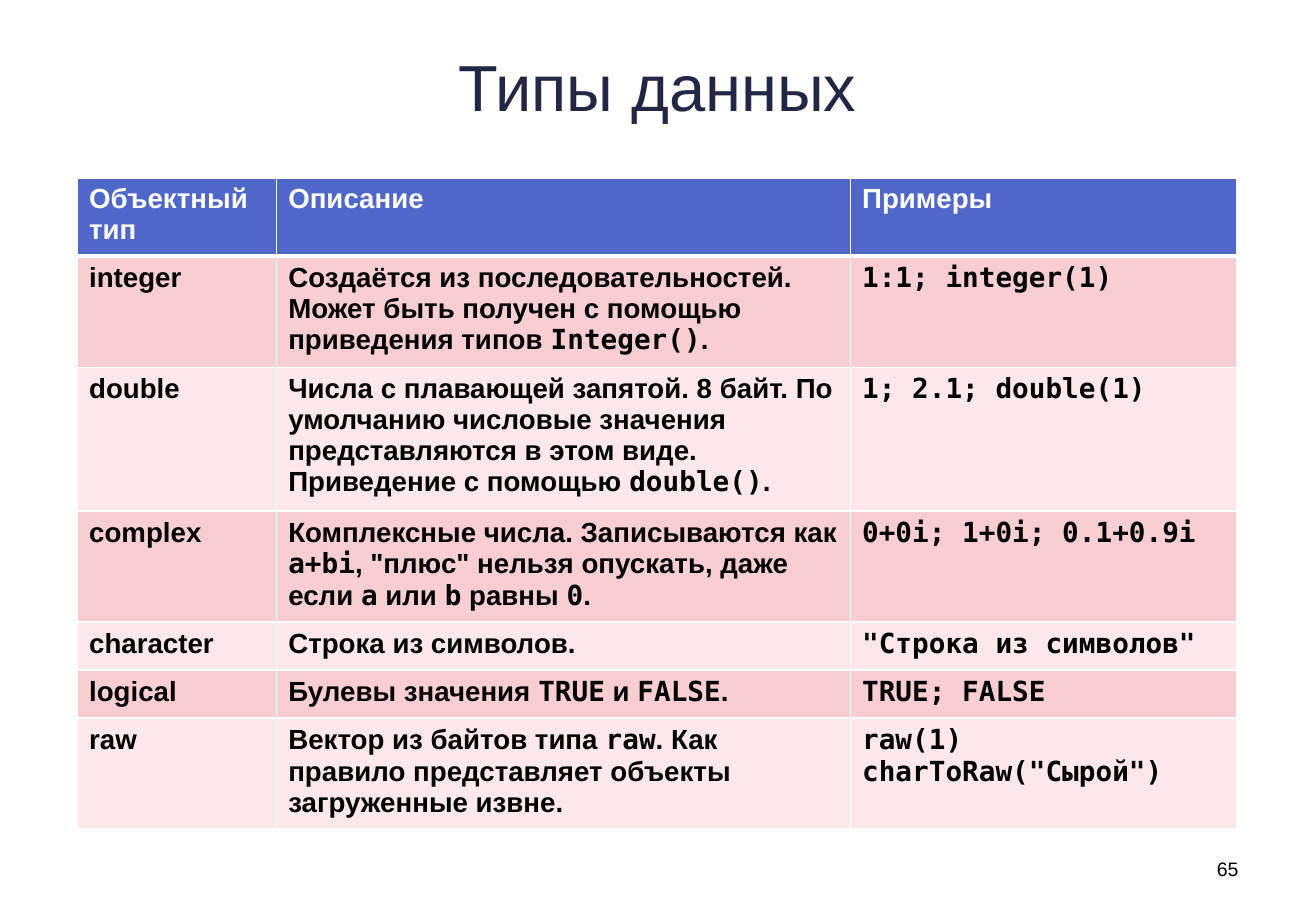
"""Build the slide on R data types: a title, a table and a page number."""
from lxml import etree
from pptx import Presentation
from pptx.dml.color import RGBColor
from pptx.enum.text import MSO_ANCHOR, PP_ALIGN
from pptx.oxml import parse_xml
from pptx.oxml.ns import nsdecls
from pptx.util import Cm, Pt

MIDDLE = MSO_ANCHOR.MIDDLE
CENTER, RIGHT = PP_ALIGN.CENTER, PP_ALIGN.RIGHT

WHITE = RGBColor(0xFF, 0xFF, 0xFF)
BLACK = RGBColor(0x00, 0x00, 0x00)
NAVY = RGBColor(0x21, 0x27, 0x45)
BLUE = RGBColor(0x4E, 0x67, 0xC8)
PINK = RGBColor(0xF9, 0xCE, 0xD2)
PALE_PINK = RGBColor(0xFC, 0xE8, 0xEA)

SANS = "Arial"
MONO = "DejaVu Sans Mono"

COL_WIDTHS = [4.32, 12.45, 8.38]
ROW_HEIGHTS = [1.7, 2.41, 3.12, 2.41, 1.04, 1.04, 2.41]
# Backticks enclose code.
ROWS = [
    ("Объектный тип", "Описание", "Примеры"),
    ("integer",
     "Создаётся из последовательностей. Может быть получен с помощью "
     "приведения типов `Integer()`.",
     "`1:1; integer(1)`"),
    ("double",
     "Числа с плавающей запятой. 8 байт. По умолчанию числовые значения "
     "представляются в этом виде. Приведение с помощью `double()`.",
     "`1; 2.1; double(1)`"),
    ("complex",
     "Комплексные числа. Записываются как `a+bi`, \"плюс\" нельзя опускать, "
     "даже если `a` или `b` равны `0`.",
     "`0+0i; 1+0i; 0.1+0.9i`"),
    ("character", "Строка из символов.", "`\"Строка из символов\"`"),
    ("logical", "Булевы значения `TRUE` и `FALSE`.", "`TRUE; FALSE`"),
    ("raw",
     "Вектор из байтов типа `raw`. Как правило представляет объекты "
     "загруженные извне.",
     "`raw(1)\ncharToRaw(\"Сырой\")`"),
]


def add_run(p, text, size, color, font=SANS, bold=False):
    """Add one formatted run to a paragraph."""
    r = p.add_run()
    r.text = text
    r.font.name = font
    r.font.size = Pt(size)
    r.font.bold = bold
    r.font.color.rgb = color


def add_border(cell, side, width):
    """Give one side of a cell a white line."""
    tcPr = cell._tc.get_or_add_tcPr()
    tcPr.append(parse_xml(
        f'<a:ln{side} {nsdecls("a")} w="{Pt(width)}"><a:solidFill>'
        f'<a:srgbClr val="{WHITE}"/></a:solidFill></a:ln{side}>'))


prs = Presentation()
prs.slide_width, prs.slide_height = Cm(28.55), Cm(19.79)
s = prs.slides.add_slide(prs.slide_layouts[6])

table = s.shapes.add_table(len(ROWS), len(COL_WIDTHS), Cm(1.68), Cm(3.86),
                           Cm(sum(COL_WIDTHS)), Cm(sum(ROW_HEIGHTS))).table
for column, width in zip(table.columns, COL_WIDTHS):
    column.width = Cm(width)
for row, height in zip(table.rows, ROW_HEIGHTS):
    row.height = Cm(height)

for i, texts in enumerate(ROWS):
    if i == 0:
        fill, color = BLUE, WHITE
    else:
        fill, color = (PINK if i % 2 else PALE_PINK), BLACK
    for j, text in enumerate(texts):
        cell = table.cell(i, j)
        for side in "LRTB":
            under_header = (i, side) in ((0, "B"), (1, "T"))
            add_border(cell, side, 3 if under_header else 1)
        cell.fill.solid()
        cell.fill.fore_color.rgb = fill
        p = cell.text_frame.paragraphs[0]
        for k, part in enumerate(text.split("`")):
            font = MONO if k % 2 else SANS
            for n, line in enumerate(part.split("\n")):
                if n:
                    p.add_line_break()
                if line:
                    add_run(p, line, 17, color, font, bold=True)

for text, left, top, width, height, align, size, color in (
        ("Типы данных", 1.42, 0.79, 25.68, 2.11, CENTER, 40, NAVY),
        ("65", 20.47, 18.34, 6.65, 1.04, RIGHT, 12, BLACK)):
    tf = s.shapes.add_textbox(Cm(left), Cm(top), Cm(width), Cm(height)).text_frame
    tf.word_wrap = True
    tf.vertical_anchor = MIDDLE
    p = tf.paragraphs[0]
    p.alignment = align
    add_run(p, text, size, color)

prs.save("out.pptx")
